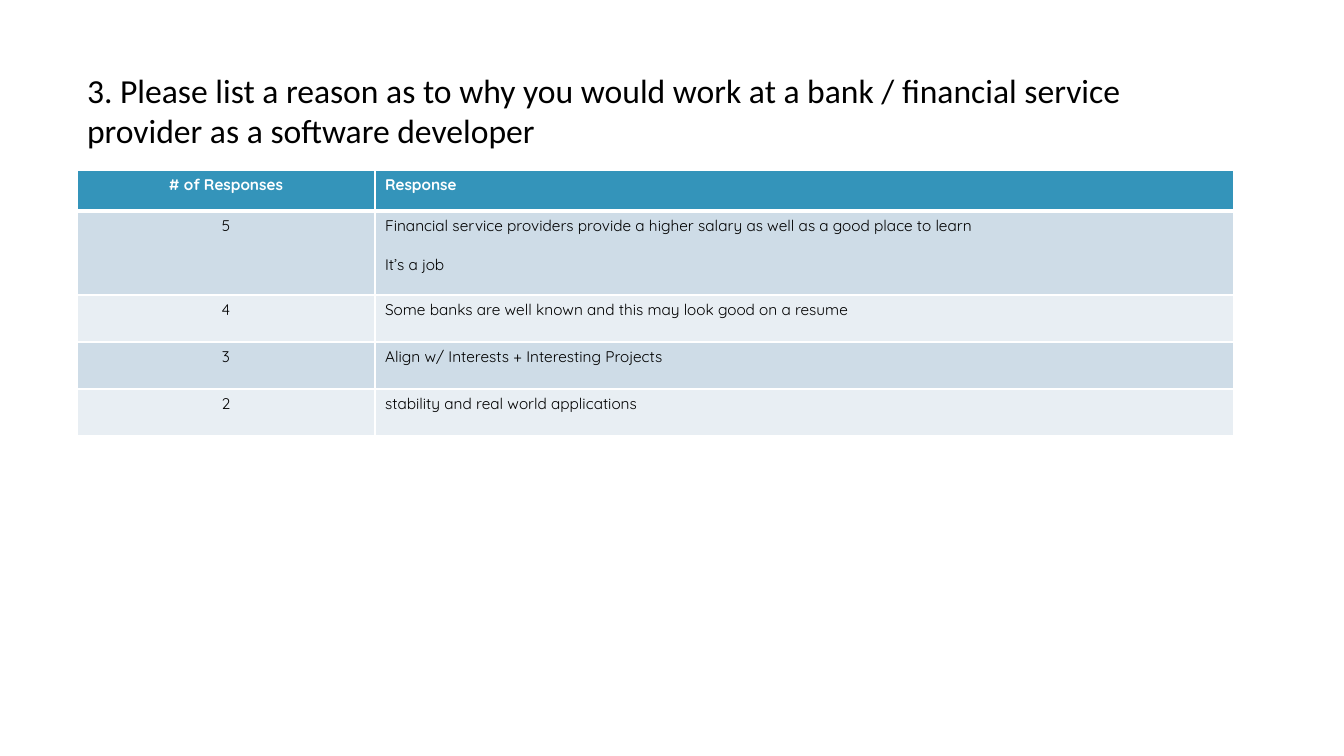
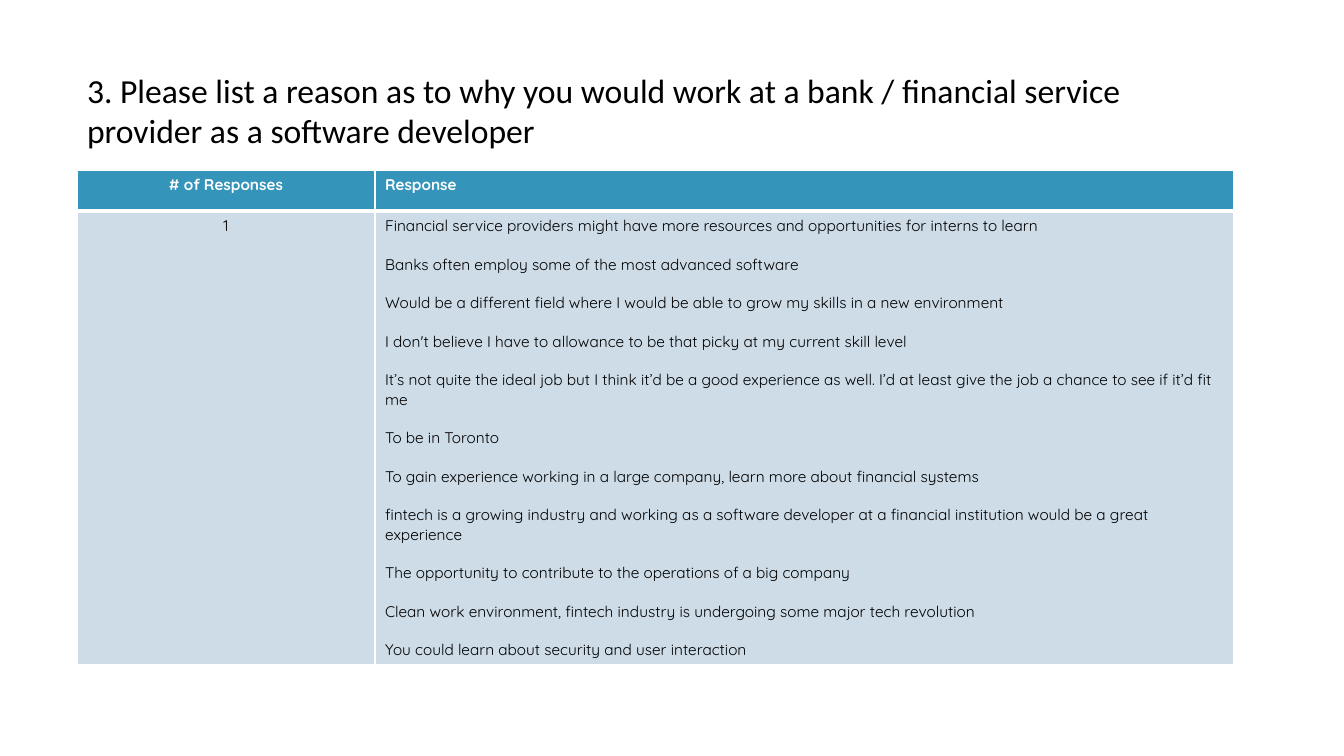
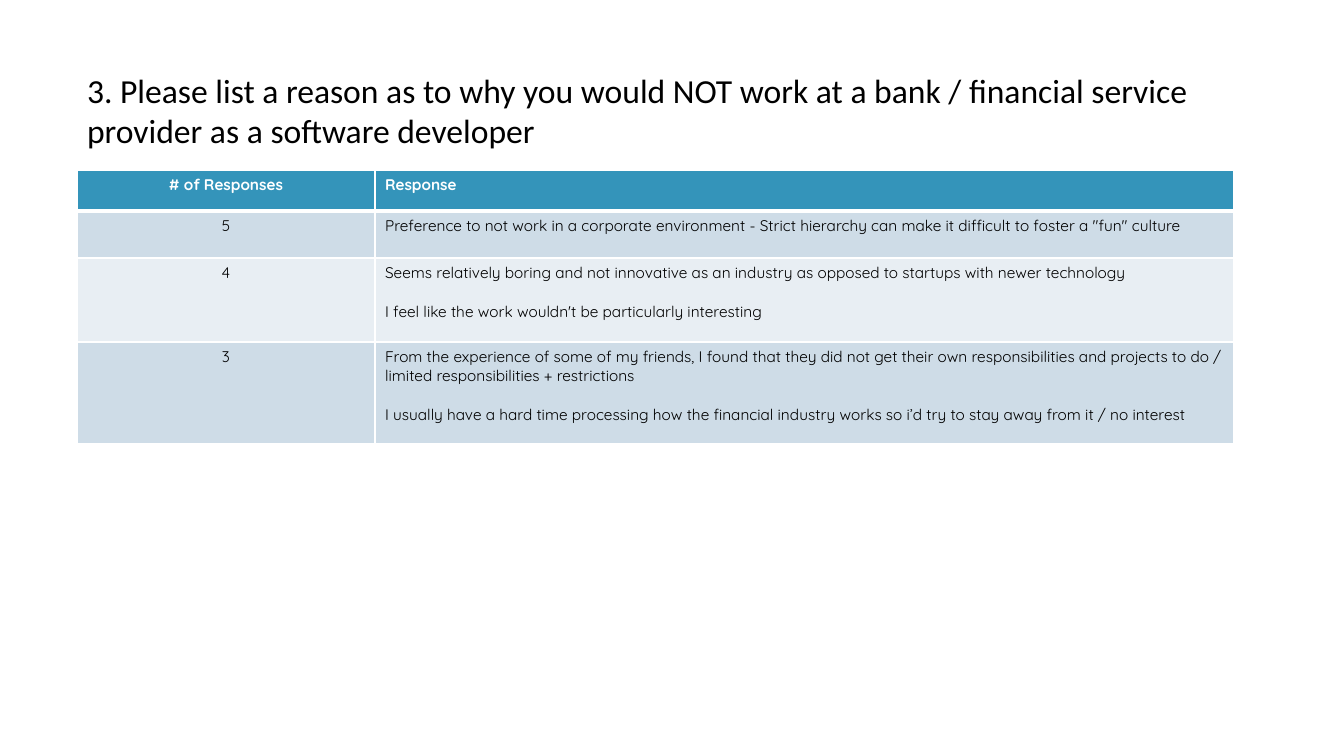
"""Builds three survey slides, each a question above a table of responses."""
from lxml import etree
from pptx import Presentation
from pptx.dml.color import RGBColor
from pptx.enum.text import MSO_ANCHOR, MSO_AUTO_SIZE, PP_ALIGN
from pptx.oxml.ns import qn
from pptx.util import Emu, Pt

LEFT, CENTER = PP_ALIGN.LEFT, PP_ALIGN.CENTER
TOP = MSO_ANCHOR.TOP
NO_AUTOFIT = MSO_AUTO_SIZE.NONE

BLACK = RGBColor(0x00, 0x00, 0x00)
WHITE = RGBColor(0xFF, 0xFF, 0xFF)
HEADER_BLUE = RGBColor(0x34, 0x94, 0xBA)
BANDS = (RGBColor(0xCE, 0xDC, 0xE7), RGBColor(0xE8, 0xEE, 0xF3))

PX_PER_INCH = 100.8
TITLE_LAYOUT = 5
TABLE_LEFT, TABLE_TOP = 77, 170
COLUMN_WIDTHS = (298, 859)
HEADER_HEIGHT = 41
TITLE_BOX = {"left": TABLE_LEFT, "top": 65, "width": sum(COLUMN_WIDTHS), "height": 92}

TITLE_FONT = {"name": "Calibri", "size": Pt(24), "bold": False}
HEADER_FONT = {"name": "Quicksand", "size": Pt(11), "bold": True}
BODY_FONT = {**HEADER_FONT, "bold": False}
TITLE_FRAME = {"word_wrap": True, "auto_size": NO_AUTOFIT, "vertical_anchor": TOP}
ANSWER_GAP = Pt(13.75)
THIN, THICK = Pt(1), Pt(3)

HEADINGS = ("# of Responses", ["Response"])
QUESTION = "3. Please list a reason as to why you {} work at a bank / financial service provider as a software developer"

SURVEY = [
    ("would", [
        (84, "5", ["Financial service providers provide a higher salary as well as a good place to learn",
                   "It’s a job"]),
        (47, "4", ["Some banks are well known and this may look good on a resume"]),
        (47, "3", ["Align w/ Interests + Interesting Projects"]),
        (47, "2", ["stability and real world applications"]),
    ]),
    ("would", [
        (454, "1", [
            "Financial service providers might have more resources and opportunities for interns to learn",
            "Banks often employ some of the most advanced software",
            "Would be a different field where I would be able to grow my skills in a new environment",
            "I don't believe I have to allowance to be that picky at my current skill level",
            "It’s not quite the ideal job but I think it’d be a good experience as well. "
            "I’d at least give the job a chance to see if it’d fit me",
            "To be in Toronto",
            "To gain experience working in a large company, learn more about financial systems",
            "fintech is a growing industry and working as a software developer at a financial "
            "institution would be a great experience",
            "The opportunity to contribute to the operations of a big company",
            "Clean work environment, fintech industry is undergoing some major tech revolution",
            "You could learn about security and user interaction",
        ]),
    ]),
    ("would NOT", [
        (47, "5", ["Preference to not work in a corporate environment - Strict hierarchy can make it "
                   "difficult to foster a \"fun\" culture"]),
        (84, "4", ["Seems relatively boring and not innovative as an industry as opposed to startups "
                   "with newer technology",
                   "I feel like the work wouldn't be particularly interesting"]),
        (102, "3", ["From the experience of some of my friends, I found that they did not get their own "
                    "responsibilities and projects to do / limited responsibilities + restrictions",
                    "I usually have a hard time processing how the financial industry works so i’d try "
                    "to stay away from it / no interest"]),
    ]),
]


def px(length):
    """Turn pixels into EMU."""
    return Emu(round(length * 914400 / PX_PER_INCH))


def apply_format(target, values):
    """Set each attribute named in the format values."""
    for attribute, value in values.items():
        setattr(target, attribute, value)


def write_paragraphs(frame, lines, font, color, align):
    """Fill a text frame with one evenly spaced paragraph per line."""
    for index, line in enumerate(lines):
        paragraph = frame.add_paragraph() if index else frame.paragraphs[0]
        paragraph.alignment = align
        paragraph.space_before = ANSWER_GAP if index else Pt(0)
        run = paragraph.add_run()
        run.text = line
        apply_format(run.font, font)
        run.font.color.rgb = color


def set_borders(cell, top, bottom):
    """Draw white borders around a cell."""
    properties = cell._tc.get_or_add_tcPr()
    for side, width in (("L", THIN), ("R", THIN), ("T", top), ("B", bottom)):
        border = etree.SubElement(properties, qn(f"a:ln{side}"), w=str(width))
        fill = etree.SubElement(border, qn("a:solidFill"))
        etree.SubElement(fill, qn("a:srgbClr"), val=str(WHITE))


def add_title(slide, question):
    """Place the question in the title placeholder."""
    title = slide.shapes.title
    apply_format(title, {side: px(length) for side, length in TITLE_BOX.items()})
    apply_format(title.text_frame, TITLE_FRAME)
    write_paragraphs(title.text_frame, [question], TITLE_FONT, BLACK, LEFT)


def fill_row(table, index, count, answers):
    """Write and colour the count and answers of one table row."""
    is_header = index == 0
    font, color = (HEADER_FONT, WHITE) if is_header else (BODY_FONT, BLACK)
    background = HEADER_BLUE if is_header else BANDS[(index - 1) % len(BANDS)]
    top = THICK if index == 1 else THIN
    bottom = THICK if is_header else THIN
    for column, (lines, align) in enumerate((([count], CENTER), (answers, LEFT))):
        cell = table.cell(index, column)
        set_borders(cell, top, bottom)
        cell.fill.solid()
        cell.fill.fore_color.rgb = background
        write_paragraphs(cell.text_frame, lines, font, color, align)


def add_response_table(slide, responses):
    """Add the table of responses under its header row."""
    rows = [(HEADER_HEIGHT, *HEADINGS), *responses]
    height = sum(row[0] for row in rows)
    table = slide.shapes.add_table(
        len(rows), len(COLUMN_WIDTHS), px(TABLE_LEFT), px(TABLE_TOP),
        px(sum(COLUMN_WIDTHS)), px(height)).table
    for column, width in zip(table.columns, COLUMN_WIDTHS):
        column.width = px(width)
    for index, (row_height, count, answers) in enumerate(rows):
        table.rows[index].height = px(row_height)
        fill_row(table, index, count, answers)


def main():
    """Build and save the survey slides."""
    deck = Presentation()
    apply_format(deck, {"slide_width": px(1344), "slide_height": px(756)})
    for verb, responses in SURVEY:
        slide = deck.slides.add_slide(deck.slide_layouts[TITLE_LAYOUT])
        add_title(slide, QUESTION.format(verb))
        add_response_table(slide, responses)
    deck.save("out.pptx")


if __name__ == "__main__":
    main()
